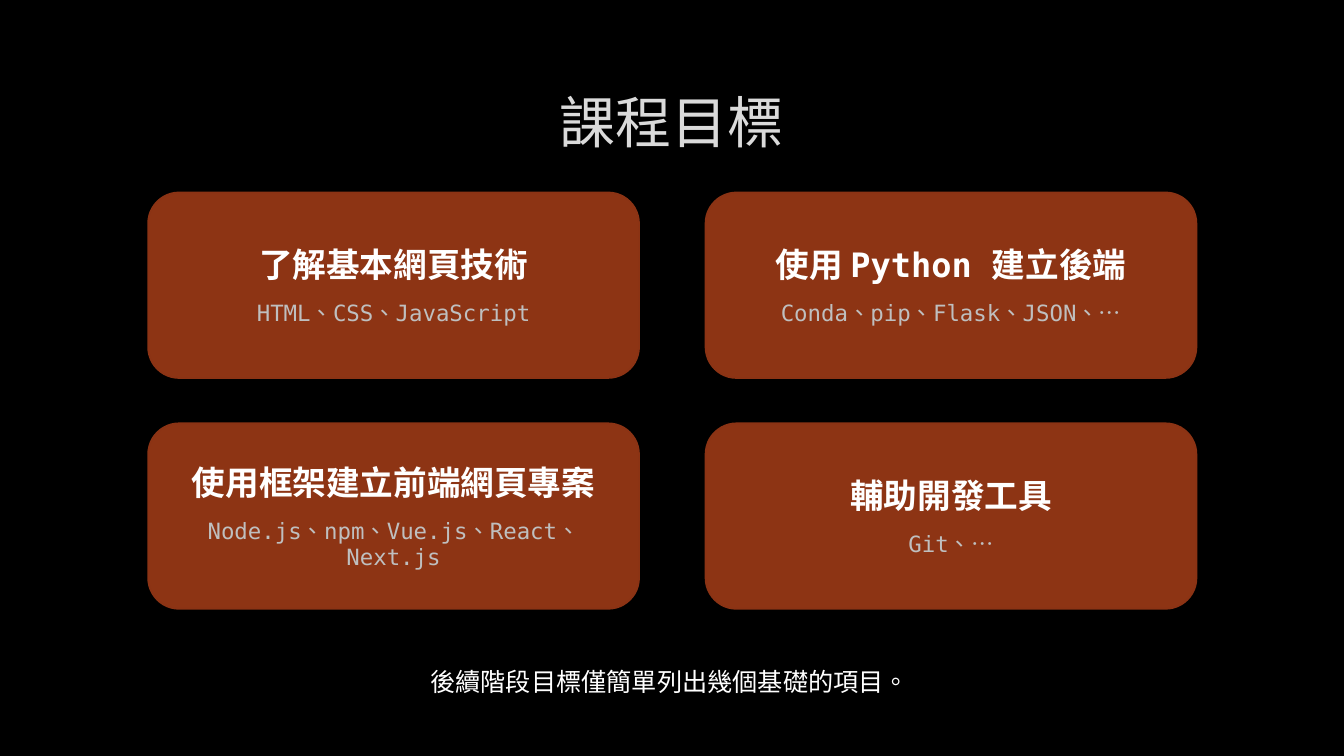
from dataclasses import dataclass

from pptx import Presentation
from pptx.dml.color import RGBColor
from pptx.enum.lang import MSO_LANGUAGE_ID
from pptx.enum.shapes import MSO_SHAPE
from pptx.enum.text import MSO_ANCHOR, MSO_AUTO_SIZE, PP_ALIGN
from pptx.util import Pt


@dataclass(frozen=True)
class Theme:
    font: str = "DejaVu Sans Mono"
    background: str = "000000"
    card: str = "8D3414"
    card_line: str = "8B3314"
    title: str = "DADADA"
    text: str = "FFFFFF"
    muted: str = "BFBFBF"
    title_size: int = 40
    goal_size: int = 24
    tools_size: int = 16
    note_size: int = 18


THEME = Theme()
TITLE_BOX = (72, 48.24, 815.04, 76.32)
GOALS_BOX = (105.84, 137.52, 748.8, 297.36)
NOTE_BOX = (300.24, 461.52, 360, 36.72)
CARD_WIDTH, CARD_HEIGHT = 350.64, 132.48
COLUMNS = 2
GOALS = [
    ("了解基本網頁技術", "HTML、CSS、JavaScript"),
    ("使用 Python 建立後端", "Conda、pip、Flask、JSON、…"),
    ("使用框架建立前端網頁專案", "Node.js、npm、Vue.js、React、Next.js"),
    ("輔助開發工具", "Git、…"),
]


def apply_format(target, values):
    for name, value in values.items():
        setattr(target, name, value)


def place(shape, box):
    apply_format(shape, dict(zip(("left", "top", "width", "height"), map(Pt, box))))


def write(paragraph, text, size, color, bold=False, **layout):
    run = paragraph.add_run()
    run.text = text
    apply_format(paragraph, layout)
    apply_format(run.font, {
        "name": THEME.font,
        "size": Pt(size),
        "bold": bold,
        "language_id": MSO_LANGUAGE_ID.TRADITIONAL_CHINESE,
    })
    run.font.color.rgb = RGBColor.from_string(color)


def add_title(slide, box):
    title = slide.shapes.title
    place(title, box)
    title.text_frame.vertical_anchor = MSO_ANCHOR.MIDDLE
    write(title.text_frame.paragraphs[0], "課程目標", THEME.title_size,
          THEME.title, alignment=PP_ALIGN.CENTER)


def add_card(slide, box, goal, tools):
    card = slide.shapes.add_shape(MSO_SHAPE.ROUNDED_RECTANGLE, *map(Pt, box))
    card.shadow.inherit = False
    card.fill.solid()
    card.fill.fore_color.rgb = RGBColor.from_string(THEME.card)
    card.line.color.rgb = RGBColor.from_string(THEME.card_line)
    card.line.width = Pt(1.25)
    frame = card.text_frame
    apply_format(frame, {"word_wrap": True, "vertical_anchor": MSO_ANCHOR.MIDDLE})
    write(frame.paragraphs[0], goal, THEME.goal_size, THEME.text, True,
          alignment=PP_ALIGN.CENTER)
    write(frame.add_paragraph(), tools, THEME.tools_size, THEME.muted,
          alignment=PP_ALIGN.CENTER, space_before=Pt(10.5))


def add_goals(slide, box):
    left, top, width, height = box
    rows = len(GOALS) // COLUMNS
    column_step = (width - CARD_WIDTH) / (COLUMNS - 1)
    row_step = (height - CARD_HEIGHT) / (rows - 1)
    for index, (goal, tools) in enumerate(GOALS):
        row, column = divmod(index, COLUMNS)
        card_box = (left + column * column_step, top + row * row_step,
                    CARD_WIDTH, CARD_HEIGHT)
        add_card(slide, card_box, goal, tools)


def add_note(slide, box):
    note = slide.shapes.add_textbox(*map(Pt, box))
    apply_format(note.text_frame, {
        "word_wrap": False,
        "auto_size": MSO_AUTO_SIZE.SHAPE_TO_FIT_TEXT,
    })
    write(note.text_frame.paragraphs[0], "後續階段目標僅簡單列出幾個基礎的項目。",
          THEME.note_size, THEME.text, line_spacing=1.5)


def main():
    presentation = Presentation()
    apply_format(presentation, {"slide_width": Pt(960), "slide_height": Pt(540)})
    slide = presentation.slides.add_slide(presentation.slide_layouts[5])
    slide.background.fill.solid()
    slide.background.fill.fore_color.rgb = RGBColor.from_string(THEME.background)
    add_title(slide, TITLE_BOX)
    add_goals(slide, GOALS_BOX)
    add_note(slide, NOTE_BOX)
    presentation.save("out.pptx")


if __name__ == "__main__":
    main()
